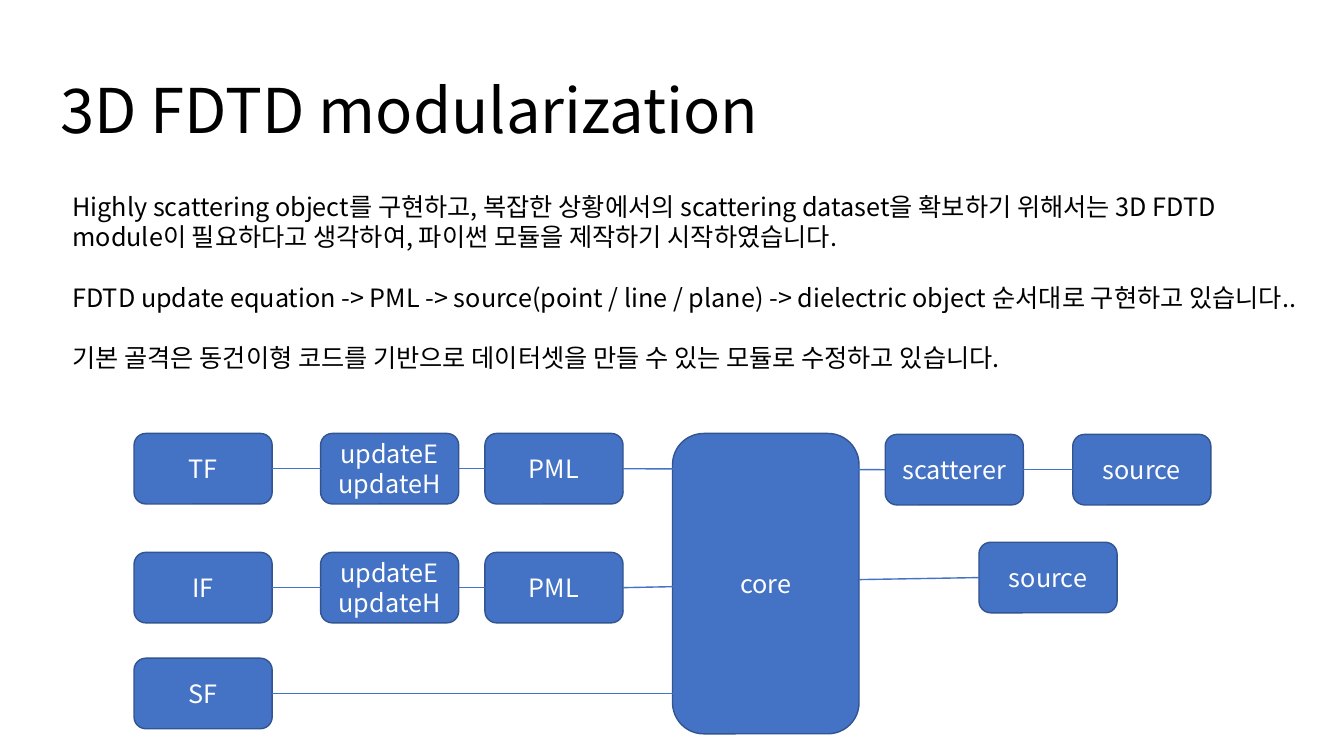
"""Build the 3D FDTD modularization slide with its module diagram."""
from dataclasses import dataclass
from typing import Optional

from lxml import etree
from pptx import Presentation
from pptx.dml.color import RGBColor
from pptx.enum.shapes import MSO_CONNECTOR, MSO_SHAPE
from pptx.enum.text import MSO_ANCHOR, MSO_AUTO_SIZE, PP_ALIGN
from pptx.oxml.ns import qn
from pptx.util import Emu, Pt

ROUNDED = MSO_SHAPE.ROUNDED_RECTANGLE
STRAIGHT = MSO_CONNECTOR.STRAIGHT
MIDDLE, TOP = MSO_ANCHOR.MIDDLE, MSO_ANCHOR.TOP
LEFT, CENTER = PP_ALIGN.LEFT, PP_ALIGN.CENTER
FIXED, GROW = MSO_AUTO_SIZE.NONE, MSO_AUTO_SIZE.SHAPE_TO_FIT_TEXT

BLACK = RGBColor(0x00, 0x00, 0x00)
WHITE = RGBColor(0xFF, 0xFF, 0xFF)
BLUE = RGBColor(0x44, 0x72, 0xC4)
DARK_BLUE = RGBColor(0x32, 0x54, 0x91)

EMU_PER_PX = 9144
FONT = "Noto Sans CJK KR"
TITLE_ONLY = 5
LEFT_SIDE, RIGHT_SIDE = 1, 3
MODULE_WIDTH, MODULE_HEIGHT = 137, 70

TITLE = "3D FDTD modularization"
BODY = [
    "Highly scattering object를 구현하고, 복잡한 상황에서의 scattering dataset을 "
    "확보하기 위해서는 3D FDTD module이 필요하다고 생각하여, 파이썬 모듈을 제작하기 시작하였습니다.",
    "FDTD update equation -> PML -> source(point / line / plane) -> dielectric object "
    "순서대로 구현하고 있습니다..",
    "기본 골격은 동건이형 코드를 기반으로 데이터셋을 만들 수 있는 모듈로 수정하고 있습니다.",
]


@dataclass(frozen=True)
class Module:
    """A labelled rounded box, measured in px."""
    name: str
    lines: tuple[str, ...]
    left: int
    top: int
    width: int = MODULE_WIDTH
    height: int = MODULE_HEIGHT


@dataclass(frozen=True)
class Link:
    """A line from a module's right side to another's left side, or loose points."""
    begin: tuple[int, int] = (0, 0)
    end: tuple[int, int] = (0, 0)
    source: Optional[str] = None
    target: Optional[str] = None


UPDATE = ("updateE", "updateH")
MODULES = [
    Module("core", ("core",), 667, 430, 185, 298),
    Module("TF", ("TF",), 133, 430),
    Module("IF", ("IF",), 133, 548),
    Module("SF", ("SF",), 133, 653),
    Module("TF source", ("source",), 1064, 431),
    Module("scatterer", ("scatterer",), 878, 431),
    Module("TF update", UPDATE, 318, 430),
    Module("TF PML", ("PML",), 481, 430),
    Module("IF update", UPDATE, 318, 548),
    Module("IF PML", ("PML",), 481, 548),
    Module("IF source", ("source",), 971, 538),
]
LINKS = [
    Link(source="TF", target="TF update"),
    Link(source="TF update", target="TF PML"),
    Link(source="TF PML", target="scatterer"),
    Link(source="scatterer", target="TF source"),
    Link(source="IF", target="IF update"),
    Link(source="IF update", target="IF PML"),
    Link(source="IF PML", end=(669, 582)),
    Link(source="SF", end=(669, 688)),
    Link(begin=(852, 575), target="IF source"),
]


def px(length: int) -> Emu:
    """Turn whole px into EMU."""
    return Emu(length * EMU_PER_PX)


def apply_format(item, values: dict) -> None:
    """Set every attribute named in the format values."""
    for name, value in values.items():
        setattr(item, name, value)


def write_text(frame, lines, size: int, color: RGBColor, frame_format: dict,
               para_format: dict) -> None:
    """Fill a text frame with one formatted paragraph per line."""
    apply_format(frame, frame_format)
    for index, line in enumerate(lines):
        para = frame.paragraphs[0] if index == 0 else frame.add_paragraph()
        apply_format(para, para_format)
        span = para.add_run()
        span.text = line
        apply_format(span.font, {"name": FONT, "size": Pt(size)})
        span.font.color.rgb = color
        east_asian = etree.Element(qn("a:ea"), typeface=FONT)
        span.font._element.find(qn("a:latin")).addnext(east_asian)


def add_title(page) -> None:
    """Place and format the title placeholder."""
    title = page.shapes.title
    apply_format(title, {"left": px(50), "top": px(40),
                         "width": px(1150), "height": px(145)})
    write_text(title.text_frame, [TITLE], 44, BLACK,
               {"vertical_anchor": MIDDLE, "auto_size": FIXED},
               {"alignment": LEFT, "line_spacing": 0.9})


def add_body(page) -> None:
    """Add the explanatory paragraphs."""
    box = page.shapes.add_textbox(px(62), px(185), px(1242), px(252))
    write_text(box.text_frame, BODY, 18, BLACK,
               {"word_wrap": True, "auto_size": GROW, "vertical_anchor": TOP},
               {"alignment": LEFT, "space_after": Pt(21.5)})


def add_module(page, module: Module):
    """Draw one module box and return it."""
    box = page.shapes.add_shape(ROUNDED, px(module.left), px(module.top),
                                px(module.width), px(module.height))
    box.shadow.inherit = False
    box.fill.solid()
    box.fill.fore_color.rgb = BLUE
    box.line.color.rgb = DARK_BLUE
    box.line.width = Pt(1)
    write_text(box.text_frame, module.lines, 18, WHITE,
               {"vertical_anchor": MIDDLE}, {"alignment": CENTER})
    return box


def add_link(page, link: Link, boxes: dict) -> None:
    """Draw one line and join it to its modules."""
    line = page.shapes.add_connector(STRAIGHT, *map(px, link.begin + link.end))
    if link.source:
        line.begin_connect(boxes[link.source], RIGHT_SIDE)
    if link.target:
        line.end_connect(boxes[link.target], LEFT_SIDE)
    line.line.color.rgb = BLUE
    line.line.width = Pt(1)
    etree.SubElement(line._element.spPr, qn("a:effectLst"))


def main() -> None:
    """Build and save the deck."""
    deck = Presentation()
    apply_format(deck, {"slide_width": px(1333), "slide_height": px(750)})
    page = deck.slides.add_slide(deck.slide_layouts[TITLE_ONLY])
    add_title(page)
    add_body(page)
    boxes = {module.name: add_module(page, module) for module in MODULES}
    for link in LINKS:
        add_link(page, link, boxes)
    deck.save("out.pptx")


if __name__ == "__main__":
    main()
